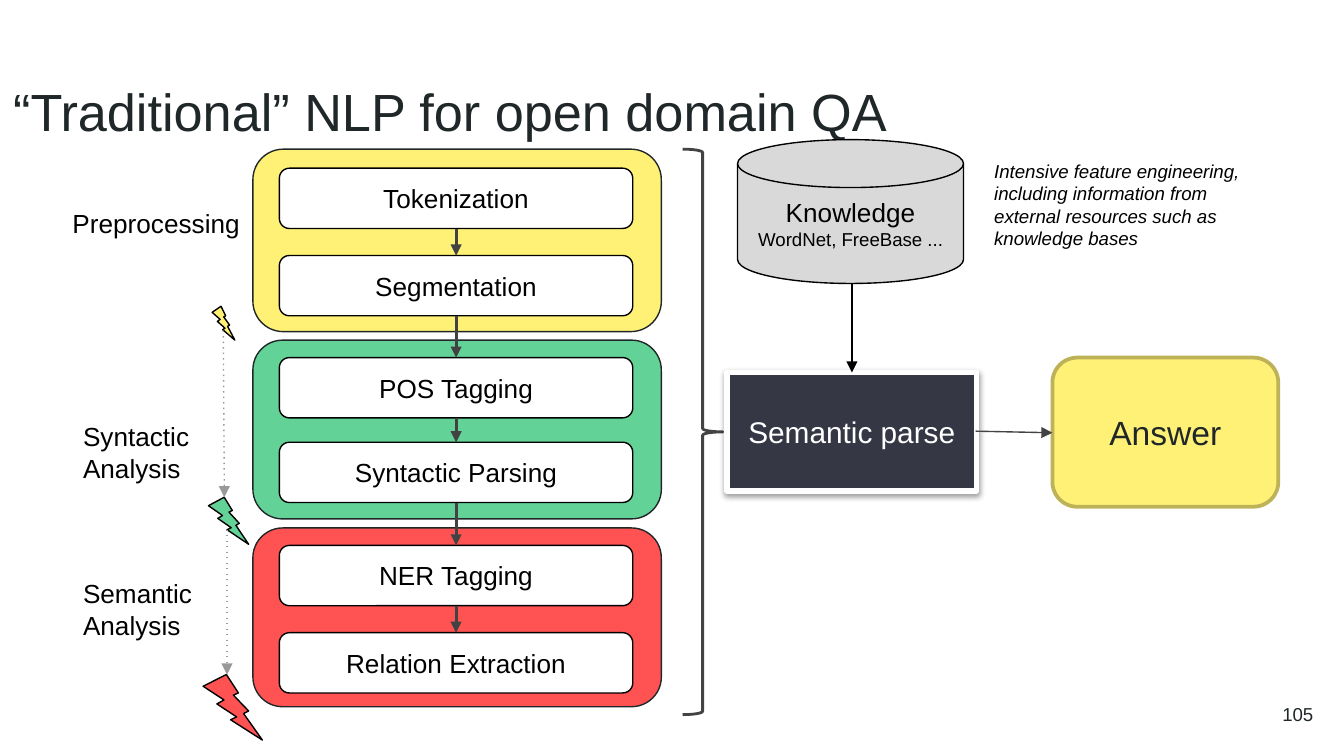
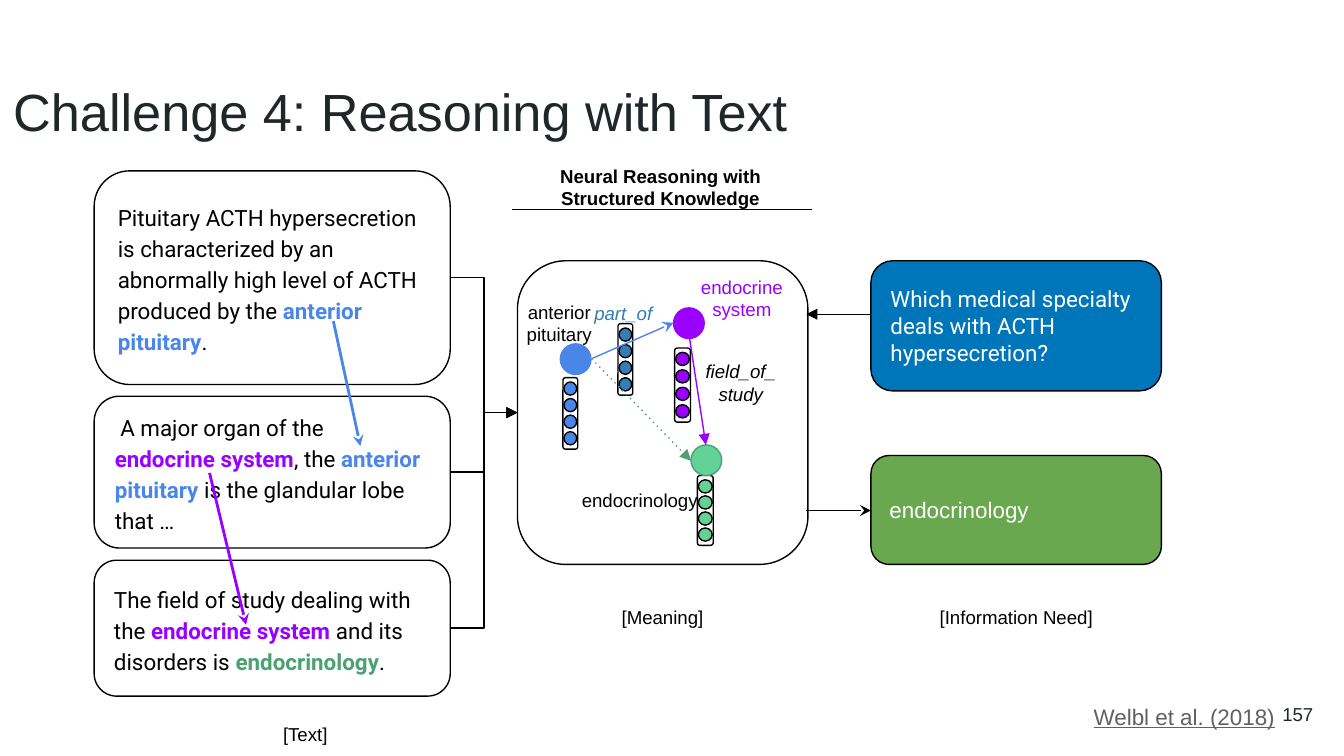
from dataclasses import dataclass
from itertools import pairwise
from typing import Any

from lxml.etree import SubElement
from pptx import Presentation
from pptx.dml.color import RGBColor
from pptx.enum.shapes import MSO_CONNECTOR as Link
from pptx.enum.shapes import MSO_SHAPE as Form
from pptx.enum.text import MSO_ANCHOR as Anchor
from pptx.enum.text import MSO_AUTO_SIZE as AutoSize
from pptx.enum.text import PP_ALIGN as Align
from pptx.oxml.ns import qn
from pptx.util import Cm, Pt

COLORS = {
    "ink": "202729",
    "black": "000000",
    "white": "FFFFFF",
    "yellow": "FFF176",
    "olive": "BDB257",
    "mint": "63D297",
    "green": "4BA173",
    "leaf": "6AA84F",
    "red": "FF5252",
    "slate": "353744",
    "dark": "424242",
    "charcoal": "434343",
    "gray": "999999",
    "silver": "D9D9D9",
    "link": "616161",
    "blue": "4A86E8",
    "azure": "367CB5",
    "ocean": "0076BA",
    "violet": "9900FF",
}
INSET = Cm(0.25)


@dataclass(frozen=True)
class Span:
    text: str
    size: float = 10
    color: str = "black"
    font: str = "Arial"
    bold: bool = False
    italic: bool = False
    underline: bool = False


@dataclass(frozen=True)
class Area:
    left: float
    top: float
    width: float
    height: float

    @property
    def right(self) -> float:
        return self.left + self.width

    @property
    def bottom(self) -> float:
        return self.top + self.height

    @property
    def center(self) -> float:
        return self.left + self.width / 2

    @property
    def middle(self) -> float:
        return self.top + self.height / 2

    def lengths(self) -> tuple:
        return Cm(self.left), Cm(self.top), Cm(self.width), Cm(self.height)


@dataclass(frozen=True)
class Block:
    area: Area
    fill: str | None = None
    line: str = "black"
    weight: float = 0.75
    form: Any = Form.ROUNDED_RECTANGLE


@dataclass(frozen=True)
class Arrow:
    start: tuple[float, float]
    end: tuple[float, float]
    color: str = "black"
    weight: float = 0.75
    tip: str | None = "triangle"
    dotted: bool = False
    elbow: bool = False


@dataclass(frozen=True)
class Caption:
    area: Area
    span: Span
    align: Any = Align.CENTER
    anchor: Any = Anchor.MIDDLE


def rgb(name: str) -> RGBColor:
    return RGBColor.from_string(COLORS[name])


def write(box, paragraphs: list[list[Span]], align=Align.CENTER,
          anchor=Anchor.MIDDLE, spacing: float | None = None) -> None:
    frame = box.text_frame
    frame.word_wrap = True
    frame.auto_size = AutoSize.NONE
    frame.vertical_anchor = anchor
    frame.margin_left = frame.margin_right = INSET
    frame.margin_top = frame.margin_bottom = INSET
    for index, spans in enumerate(paragraphs):
        para = frame.add_paragraph() if index else frame.paragraphs[0]
        para.alignment = align
        if spacing:
            para.line_spacing = spacing
        for span in spans:
            run = para.add_run()
            run.text = span.text
            font = run.font
            font.name, font.size = span.font, Pt(span.size)
            font.bold, font.italic = span.bold, span.italic
            font.underline = span.underline
            font.color.rgb = rgb(span.color)


def draw_block(shapes, block: Block):
    shape = shapes.add_shape(block.form, *block.area.lengths())
    shape.shadow.inherit = False
    if block.fill:
        shape.fill.solid()
        shape.fill.fore_color.rgb = rgb(block.fill)
    else:
        shape.fill.background()
    shape.line.color.rgb = rgb(block.line)
    shape.line.width = Pt(block.weight)
    return shape


def draw_arrow(page, arrow: Arrow) -> None:
    kind = Link.ELBOW if arrow.elbow else Link.STRAIGHT
    ends = [Cm(value) for value in (*arrow.start, *arrow.end)]
    connector = page.shapes.add_connector(kind, *ends)
    connector.line.color.rgb = rgb(arrow.color)
    connector.line.width = Pt(arrow.weight)
    properties = connector._element.spPr
    outline = properties.find(qn("a:ln"))
    if arrow.dotted:
        SubElement(outline, qn("a:prstDash"), val="dot")
    if arrow.tip:
        SubElement(outline, qn("a:tailEnd"), type=arrow.tip)
    SubElement(properties, qn("a:effectLst"))


def draw_caption(page, caption: Caption):
    box = page.shapes.add_textbox(*caption.area.lengths())
    write(box, [[caption.span]], caption.align, caption.anchor)
    return box


def draw_vector(page, area: Area, color: str) -> None:
    group = page.shapes.add_group_shape()
    draw_block(group.shapes, Block(area))
    size, margin = 0.25, 0.08
    pitch = (area.height - size - 2 * margin) / 3
    for index in range(4):
        dot = Area(area.left + 0.02, area.top + margin + index * pitch,
                   area.width - 0.04, size)
        draw_block(group.shapes, Block(dot, color, form=Form.OVAL))


def add_soft_shadow(shape) -> None:
    effects = shape._element.spPr.find(qn("a:effectLst"))
    shadow = SubElement(effects, qn("a:outerShdw"), blurRad=str(Pt(3.1)),
                        dist=str(Pt(1.6)), dir="5400000", algn="bl", rotWithShape="0")
    tint = SubElement(shadow, qn("a:srgbClr"), val=COLORS["black"])
    SubElement(tint, qn("a:alpha"), val="38000")


def start_page(deck, title: str, number: str):
    page = deck.slides.add_slide(deck.slide_layouts[5])
    heading = page.shapes.title
    heading.left, heading.top, heading.width, heading.height = Area(0, 1.24, 23.67, 1.6).lengths()
    write(heading, [[Span(title, 28, "ink")]], Align.LEFT, Anchor.TOP)
    draw_caption(page, Caption(Area(23.55, 12.95, 1.52, 1.09), Span(number, 10, "ink"), Align.RIGHT))
    return page


def build_pipeline(deck) -> None:
    page = start_page(deck, "“Traditional” NLP for open domain QA", "105")
    for top, height, color in ((2.82, 3.45, "yellow"), (6.43, 3.38, "mint"), (9.98, 3.38, "red")):
        draw_block(page.shapes, Block(Area(4.78, top, 7.72, height), color, "ink"))

    steps = {
        "Tokenization": 3.18, "Segmentation": 4.83,
        "POS Tagging": 6.76, "Syntactic Parsing": 8.36,
        "NER Tagging": 10.31, "Relation Extraction": 11.96,
    }
    areas = [Area(5.28, top, 6.68, 1.14) for top in steps.values()]
    for name, area in zip(steps, areas):
        write(draw_block(page.shapes, Block(area, "white")), [[Span(name, 14)]])
    for upper, lower in pairwise(areas):
        draw_arrow(page, Arrow((upper.center, upper.bottom), (lower.center, lower.top), "dark", 1.5))

    for name, left, top in (("Preprocessing", 1.12, 3.68), ("Syntactic Analysis", 1.32, 7.7),
                            ("Semantic Analysis", 1.32, 10.67)):
        draw_caption(page, Caption(Area(left, top, 3.86, 0.89), Span(name, 14), Align.LEFT, Anchor.TOP))
    for area, color in ((Area(4.01, 5.79, 0.43, 0.64), "yellow"),
                        (Area(3.94, 9.4, 0.76, 0.89), "mint"),
                        (Area(3.84, 12.75, 1.12, 1.24), "red")):
        draw_block(page.shapes, Block(area, color, form=Form.LIGHTNING_BOLT))

    draw_block(page.shapes, Block(Area(12.9, 2.82, 0.76, 10.69), None, "charcoal", 1.5, Form.RIGHT_BRACE))
    parse_block = Block(Area(13.74, 7.04, 4.72, 2.24), "slate", "white", 3, Form.RECTANGLE)
    semantic_parse = draw_block(page.shapes, parse_block)
    add_soft_shadow(semantic_parse)
    write(semantic_parse, [[Span("Semantic parse", 16, "white")]])
    answer = draw_block(page.shapes, Block(Area(19.89, 6.76, 4.27, 2.82), "yellow", "olive", 2))
    write(answer, [[Span("Answer", 18, "ink")]])
    knowledge = draw_block(page.shapes, Block(Area(13.94, 2.64, 4.27, 2.72), "silver",
                                              form=Form.FLOWCHART_MAGNETIC_DISK))
    write(knowledge, [[Span("Knowledge", 14)], [Span("WordNet, FreeBase ...")]])
    draw_caption(page, Caption(Area(18.54, 2.77, 5.18, 2.13), Span(
        "Intensive feature engineering, including information from external resources "
        "such as knowledge bases", italic=True), Align.LEFT, Anchor.TOP))
    for arrow in (
        Arrow((4.22, 6.25), (4.24, 9.4), "gray", dotted=True),
        Arrow((4.29, 10.01), (4.29, 12.75), "gray", dotted=True),
        Arrow((18.44, 8.15), (19.89, 8.18), "charcoal"),
        Arrow((16.1, 5.36), (16.1, 7.04)),
    ):
        draw_arrow(page, arrow)


def roboto(text: str, color: str = "black") -> Span:
    return Span(text, 12, color, "Roboto", bold=color in ("blue", "violet", "green"))


def build_reasoning(deck) -> None:
    page = start_page(deck, "Challenge 4: Reasoning with Text", "157")
    meaning = Area(9.78, 4.93, 5.49, 5.74)
    draw_block(page.shapes, Block(meaning))
    for area, color in ((Area(10.64, 7.14, 0.28, 1.35), "blue"),
                        (Area(12.75, 6.58, 0.3, 1.4), "violet"),
                        (Area(13.18, 8.99, 0.3, 1.32), "mint"),
                        (Area(11.68, 6.12, 0.28, 1.35), "azure")):
        draw_vector(page, area, color)

    passages = (
        (3.23, 4.04, [
            roboto("Pituitary ACTH hypersecretion is characterized by an abnormally "
                   "high level of ACTH produced by the "),
            roboto("anterior pituitary", "blue"), roboto(".")]),
        (7.49, 2.87, [
            roboto(" A major organ of the "), roboto("endocrine system", "violet"),
            roboto(", the "), roboto("anterior pituitary", "blue"),
            roboto(" is the glandular lobe that …")]),
        (10.59, 2.57, [
            roboto("The field of study dealing with the "), roboto("endocrine system", "violet"),
            roboto(" and its disorders is "), roboto("endocrinology", "green"), roboto(".")]),
    )
    for top, height, spans in passages:
        area = Area(1.78, top, 6.73, height)
        write(draw_block(page.shapes, Block(area)), [spans], Align.LEFT, spacing=1.15)
        draw_arrow(page, Arrow((area.right, area.middle), (meaning.left, meaning.middle), elbow=True))

    for left, top, fill, line in ((10.59, 6.5, "blue", "blue"), (12.73, 5.82, "violet", "violet"),
                                  (13.06, 8.41, "mint", "green")):
        draw_block(page.shapes, Block(Area(left, top, 0.58, 0.58), fill, line, form=Form.OVAL))

    for arrow in (
        Arrow((9.68, 3.96), (15.34, 3.96), tip=None),
        Arrow((6.3, 6.07), (6.81, 8.43), "blue", 1.5, "stealth"),
        Arrow((3.96, 8.94), (4.65, 11.81), "violet", 1.5, "stealth"),
        Arrow((11.18, 6.78), (12.73, 6.1), "blue", tip="stealth"),
        Arrow((11.18, 6.78), (13.06, 8.71), "green", dotted=True),
        Arrow((13.03, 6.38), (13.34, 8.41), "violet"),
        Arrow((16.46, 5.94), (15.24, 5.94), elbow=True),
        Arrow((15.24, 9.65), (16.46, 9.65), tip="stealth", elbow=True),
    ):
        draw_arrow(page, arrow)

    for caption in (
        Caption(Area(17.2, 11.25, 4.01, 0.84), Span("[Information Need]")),
        Caption(Area(11.02, 11.25, 3, 0.84), Span("[Meaning]")),
        Caption(Area(4.27, 13.46, 3, 0.84), Span("[Text]")),
        Caption(Area(9.47, 3.12, 6.02, 0.84),
                Span("Neural Reasoning with Structured Knowledge", bold=True)),
        Caption(Area(9.53, 5.69, 2.08, 0.84), Span("anterior pituitary")),
        Caption(Area(10.74, 5.49, 2.08, 0.84), Span("part_of", color="azure", italic=True)),
        Caption(Area(10.64, 8.74, 2.9, 1.42), Span("endocrinology")),
        Caption(Area(13.06, 6.81, 1.88, 0.84), Span("field_of_study", italic=True)),
        Caption(Area(12.98, 5.21, 2.08, 0.84), Span("endocrine system", color="violet")),
    ):
        draw_caption(page, caption)

    citation = draw_caption(page, Caption(
        Area(20.42, 13.08, 5.49, 0.84),
        Span("Welbl et al. (2018)", 12, "link", underline=True), Align.LEFT))
    para = citation.text_frame.paragraphs[0]
    para.line_spacing, para.space_after = 1.15, Pt(16)

    question = draw_block(page.shapes, Block(Area(16.46, 4.93, 5.49, 2.46), "ocean"))
    write(question, [[roboto("Which medical specialty deals with ACTH hypersecretion?", "white")]], Align.LEFT)
    answer = draw_block(page.shapes, Block(Area(16.46, 8.61, 5.49, 2.06), "leaf"))
    write(answer, [[Span("endocrinology", 12, "white")]], Align.LEFT)


def main() -> None:
    deck = Presentation()
    deck.slide_width, deck.slide_height = Cm(25.4), Cm(14.29)
    build_pipeline(deck)
    build_reasoning(deck)
    deck.save("out.pptx")


if __name__ == "__main__":
    main()
